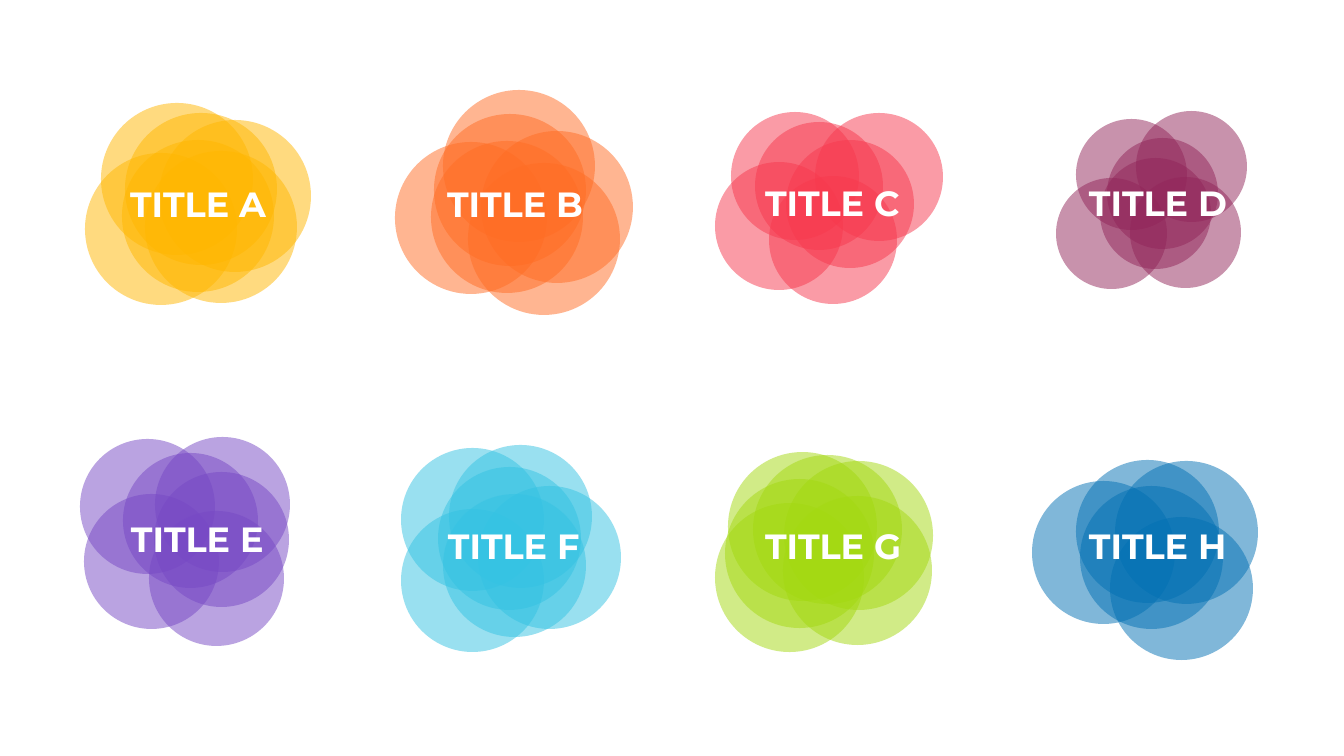
from lxml.etree import SubElement
from pptx import Presentation
from pptx.dml.color import RGBColor
from pptx.enum.shapes import MSO_SHAPE as SHAPE
from pptx.enum.text import MSO_ANCHOR as ANCHOR, PP_ALIGN as ALIGN
from pptx.oxml.ns import qn
from pptx.util import Inches, Pt

YELLOW = RGBColor(0xFF, 0xB7, 0x00)
ORANGE = RGBColor(0xFF, 0x6D, 0x24)
RED = RGBColor(0xF7, 0x39, 0x4E)
PLUM = RGBColor(0x92, 0x26, 0x5A)
PURPLE = RGBColor(0x77, 0x49, 0xC5)
CYAN = RGBColor(0x34, 0xC3, 0xE3)
GREEN = RGBColor(0xA4, 0xD9, 0x11)
BLUE = RGBColor(0x03, 0x71, 0xB4)
WHITE = RGBColor(0xFF, 0xFF, 0xFF)

FONT = "Montserrat"
TITLE_SIZE = (154, 51)
OPACITY = 50

# Title, its left and top, colour, circle diameter, left and top of each circle
CLUSTERS = [
    ("TITLE A", (130, 183), YELLOW, 152,
     [(125, 113), (159, 120), (85, 153), (101, 103), (122, 140), (145, 151)]),
    ("TITLE B", (447, 183), ORANGE, 152,
     [(434, 114), (481, 131), (395, 142), (443, 90), (431, 141), (468, 163)]),
    ("TITLE C", (765, 182), RED, 128,
     [(755, 122), (786, 140), (715, 162), (731, 112), (815, 113), (769, 176)]),
    ("TITLE D", (1089, 182), PLUM, 111,
     [(1076, 119), (1107, 138), (1056, 178), (1100, 158), (1136, 111), (1130, 177)]),
    ("TITLE E", (131, 517), PURPLE, 135,
     [(123, 453), (154, 472), (84, 494), (80, 439), (155, 437), (149, 511)]),
    ("TITLE F", (448, 525), CYAN, 143,
     [(438, 467), (478, 486), (401, 509), (401, 448), (449, 445), (443, 494)]),
    ("TITLE G", (765, 525), GREEN, 149,
     [(728, 452), (784, 461), (715, 503), (753, 455), (725, 479), (783, 496)]),
    ("TITLE H", (1089, 525), BLUE, 143,
     [(1076, 460), (1115, 461), (1110, 517), (1032, 481), (1080, 486)]),
]


def px(n):
    return Inches(n / 100.8)


def add_circle(s, left, top, diameter, color):
    sp = s.shapes.add_shape(SHAPE.OVAL, px(left), px(top), px(diameter), px(diameter))
    sp.shadow.inherit = False
    sp.line.fill.background()
    sp.fill.solid()
    sp.fill.fore_color.rgb = color
    clr = sp.fill._xPr.find(qn("a:solidFill"))[0]
    SubElement(clr, qn("a:alpha"), val=str(OPACITY * 1000))


def add_title(s, text, left, top):
    width, height = TITLE_SIZE
    tf = s.shapes.add_textbox(px(left), px(top), px(width), px(height)).text_frame
    tf.margin_left = tf.margin_right = tf.margin_top = tf.margin_bottom = 0
    tf.vertical_anchor = ANCHOR.TOP
    tf.text = text
    p = tf.paragraphs[0]
    p.alignment = ALIGN.LEFT
    font = p.runs[0].font
    font.name = FONT
    font.size = Pt(25)
    font.bold = True
    font.color.rgb = WHITE


def main():
    prs = Presentation()
    prs.slide_width, prs.slide_height = px(1344), px(756)
    s = prs.slides.add_slide(prs.slide_layouts[6])

    # Overlapping translucent circles
    for _, _, color, diameter, circles in CLUSTERS:
        for left, top in circles:
            add_circle(s, left, top, diameter, color)

    # Titles in front
    for title, (left, top), *_ in CLUSTERS:
        add_title(s, title, left, top)

    prs.save("out.pptx")


main()
